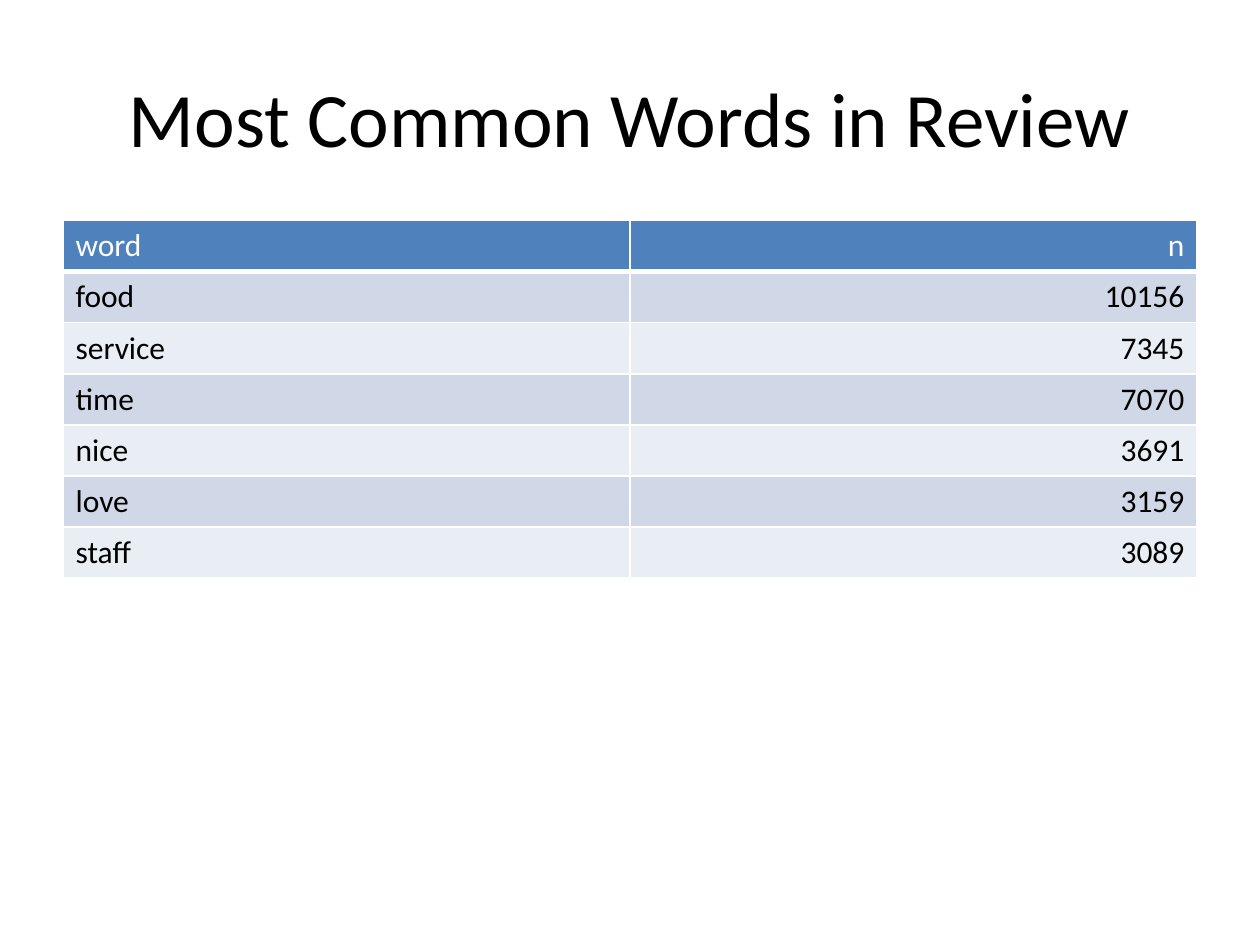
import pptx
import pptx.dml.color
import pptx.enum.text
import pptx.oxml
import pptx.oxml.ns
import pptx.util

Pt = pptx.util.Pt
ALIGN = pptx.enum.text.PP_ALIGN
ANCHOR = pptx.enum.text.MSO_ANCHOR

FONT = "Calibri"
WHITE, BLACK = "FFFFFF", "000000"
HEADER_FILL = "4F81BD"
BAND_FILLS = ["D0D8E8", "E9EDF4"]
ROW_HEIGHT = 29.2

WORD_COUNTS = [
    ("word", "n"),
    ("food", 10156),
    ("service", 7345),
    ("time", 7070),
    ("nice", 3691),
    ("love", 3159),
    ("staff", 3089),
]


def rgb(color):
    return pptx.dml.color.RGBColor.from_string(color)


def write(tf, text, size, color, align):
    p = tf.paragraphs[0]
    p.alignment = align
    r = p.add_run()
    r.text = text
    for name, value in {"name": FONT, "size": Pt(size), "bold": False}.items():
        setattr(r.font, name, value)
    r.font.color.rgb = rgb(color)


def add_title(s, text):
    tf = s.shapes.add_textbox(Pt(36), Pt(21.6), Pt(648), Pt(90)).text_frame
    tf.word_wrap = True
    tf.vertical_anchor = ANCHOR.MIDDLE
    write(tf, text, 44, BLACK, ALIGN.CENTER)


def set_borders(cell, widths):
    tc_pr = cell._tc.get_or_add_tcPr()
    for side, width in widths.items():
        tc_pr.append(pptx.oxml.parse_xml(
            f'<a:ln{side} {pptx.oxml.ns.nsdecls("a")} w="{Pt(width)}">'
            f'<a:solidFill><a:srgbClr val="{WHITE}"/></a:solidFill></a:ln{side}>'))


def add_table(s, rows):
    table = s.shapes.add_table(len(rows), len(rows[0]), Pt(36), Pt(126),
                               Pt(648), Pt(ROW_HEIGHT * len(rows))).table
    for i, row in enumerate(rows):
        table.rows[i].height = Pt(ROW_HEIGHT)
        header = i == 0
        fill = HEADER_FILL if header else BAND_FILLS[(i - 1) % 2]
        for j, value in enumerate(row):
            cell = table.cell(i, j)
            set_borders(cell, {"L": 1, "R": 1, "T": 1, "B": 3 if header else 1})
            cell.fill.solid()
            cell.fill.fore_color.rgb = rgb(fill)
            write(cell.text_frame, str(value), 18, WHITE if header else BLACK,
                  ALIGN.RIGHT if j else ALIGN.LEFT)


def main():
    prs = pptx.Presentation()
    prs.slide_width, prs.slide_height = Pt(720), Pt(540)
    s = prs.slides.add_slide(prs.slide_layouts[6])
    add_title(s, "Most Common Words in Review")
    add_table(s, WORD_COUNTS)
    prs.save("out.pptx")


if __name__ == "__main__":
    main()
